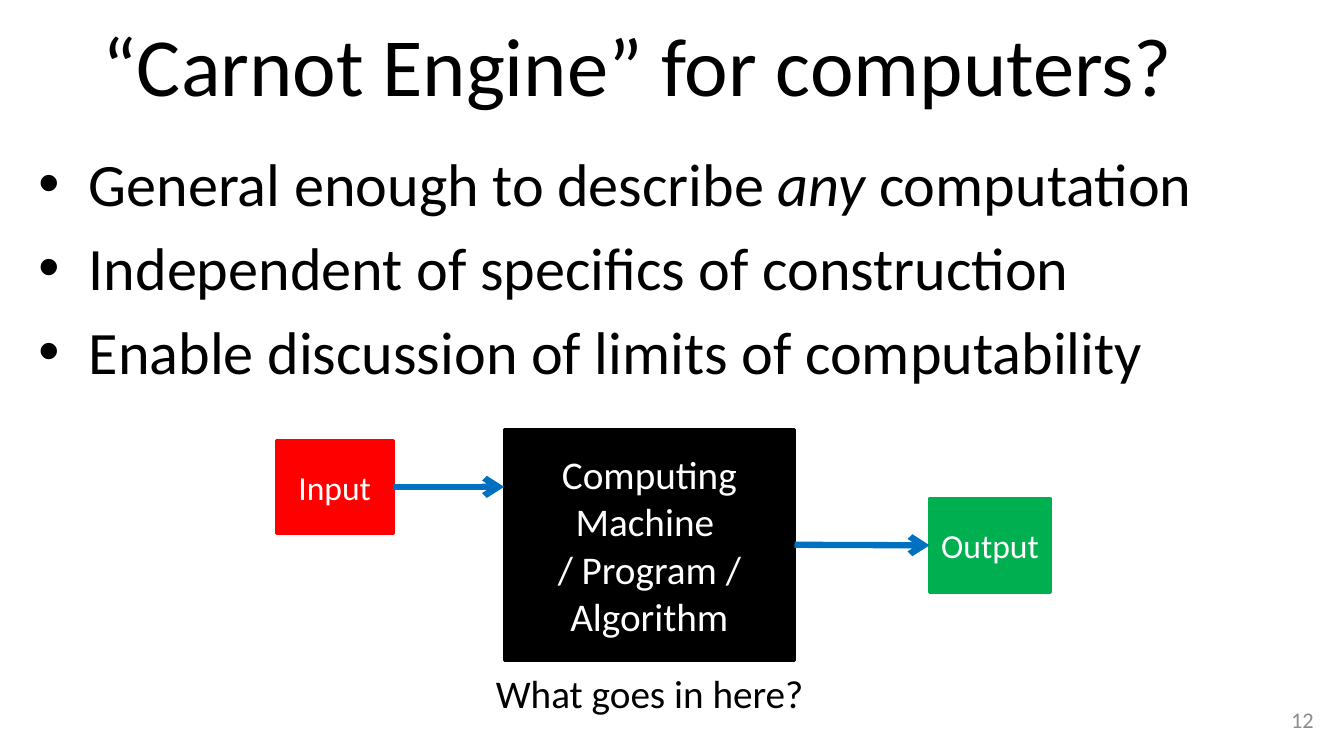
from collections import namedtuple
from dataclasses import dataclass

from lxml import etree
from pptx import Presentation
from pptx.dml.color import RGBColor
from pptx.enum.shapes import MSO_CONNECTOR, MSO_SHAPE
from pptx.enum.text import MSO_ANCHOR, MSO_AUTO_SIZE, PP_ALIGN
from pptx.oxml.ns import qn
from pptx.util import Pt

RECTANGLE = MSO_SHAPE.RECTANGLE
STRAIGHT = MSO_CONNECTOR.STRAIGHT
MIDDLE, TOP = MSO_ANCHOR.MIDDLE, MSO_ANCHOR.TOP
LEFT, CENTER, RIGHT = PP_ALIGN.LEFT, PP_ALIGN.CENTER, PP_ALIGN.RIGHT
FIT_SHAPE, NO_FIT = MSO_AUTO_SIZE.SHAPE_TO_FIT_TEXT, MSO_AUTO_SIZE.NONE
LEFT_SIDE, RIGHT_SIDE = 1, 3
EMU_PER_PX = 9144

Box = namedtuple("Box", "left top width height")


@dataclass(frozen=True)
class Theme:
    font: str = "Calibri"
    ink: str = "000000"
    paper: str = "FFFFFF"
    muted: str = "8C8C8C"
    input: str = "FF0000"
    output: str = "00B050"
    arrow: str = "0070C0"
    title_size: int = 59
    body_size: int = 43
    machine_size: int = 28
    data_size: int = 24
    number_size: int = 16
    outline: float = 2
    arrow_width: float = 4.5


THEME = Theme()


def px(length):
    return length * EMU_PER_PX


def place(shape, box):
    shape.left, shape.top, shape.width, shape.height = map(px, box)


def inside(box, left, top, width, height):
    return Box(box.left + left, box.top + top, width, height)


def format_text(frame, size, color, align, anchor, margins=(10, 5), fit=NO_FIT):
    frame.word_wrap = True
    frame.auto_size = fit
    frame.vertical_anchor = anchor
    frame.margin_left = frame.margin_right = px(margins[0])
    frame.margin_top = frame.margin_bottom = px(margins[1])
    for paragraph in frame.paragraphs:
        paragraph.alignment = align
        for run in paragraph.runs:
            run.font.name = THEME.font
            run.font.size = Pt(size)
            run.font.color.rgb = RGBColor.from_string(color)


def fill_title(slide, box, text):
    title = slide.shapes.title
    place(title, box)
    title.text_frame.text = text
    format_text(title.text_frame, THEME.title_size, THEME.ink, CENTER, MIDDLE, (13, 7))


def fill_goals(slide, box, goals):
    body = slide.placeholders[1]
    place(body, box)
    frame = body.text_frame
    for index, goal in enumerate(goals):
        paragraph = frame.paragraphs[0] if index == 0 else frame.add_paragraph()
        for position, part in enumerate(goal.split("*")):
            run = paragraph.add_run()
            run.text = part
            run.font.italic = position % 2 == 1
        properties = paragraph._p.get_or_add_pPr()
        properties.set("marL", str(px(50)))
        properties.set("indent", str(px(-50)))
    format_text(frame, THEME.body_size, THEME.ink, LEFT, TOP, (13, 7))


def add_block(shapes, box, text, color, size):
    block = shapes.add_shape(RECTANGLE, *map(px, box))
    block.shadow.inherit = False
    block.fill.solid()
    block.fill.fore_color.rgb = RGBColor.from_string(color)
    block.line.color.rgb = RGBColor.from_string(color)
    block.line.width = Pt(THEME.outline)
    block.text_frame.text = text
    format_text(block.text_frame, size, THEME.paper, CENTER, MIDDLE)
    return block


def add_arrow(shapes, source, target):
    y = source.top + source.height // 2
    arrow = shapes.add_connector(STRAIGHT, source.left + source.width, y, target.left, y)
    arrow.line.color.rgb = RGBColor.from_string(THEME.arrow)
    arrow.line.width = Pt(THEME.arrow_width)
    etree.SubElement(arrow.line._get_or_add_ln(), qn("a:tailEnd"), type="arrow")
    etree.SubElement(arrow._element.spPr, qn("a:effectLst"))
    arrow.begin_connect(source, RIGHT_SIDE)
    return arrow


def draw_machine(slide, box):
    shapes = slide.shapes.add_group_shape().shapes
    machine = add_block(shapes, inside(box, 226, 0, 288, 229),
                        "Computing Machine \n/ Program / Algorithm",
                        THEME.ink, THEME.machine_size)
    source = add_block(shapes, inside(box, 0, 11, 116, 92),
                       "Input", THEME.input, THEME.data_size)
    result = add_block(shapes, inside(box, 648, 68, 120, 94),
                       "Output", THEME.output, THEME.data_size)
    add_arrow(shapes, source, machine)
    add_arrow(shapes, machine, result).end_connect(result, LEFT_SIDE)


def add_label(slide, box, text, size, color, align, anchor, margins=(10, 5), fit=NO_FIT):
    label = slide.shapes.add_textbox(*map(px, box))
    label.text_frame.text = text
    format_text(label.text_frame, size, color, align, anchor, margins, fit)


def build_slide(deck):
    slide = deck.slides.add_slide(deck.slide_layouts[1])
    fill_title(slide, Box(50, 0, 1166, 125), "“Carnot Engine” for computers?")
    fill_goals(slide, Box(25, 138, 1241, 495), [
        "General enough to describe *any* computation",
        "Independent of specifics of construction",
        "Enable discussion of limits of computability",
    ])
    add_label(slide, Box(1083, 694, 233, 40), "12",
              THEME.number_size, THEME.muted, RIGHT, MIDDLE, (13, 7))
    draw_machine(slide, Box(274, 426, 768, 229))
    add_label(slide, Box(482, 659, 338, 57), "What goes in here?",
              THEME.machine_size, THEME.ink, LEFT, TOP, fit=FIT_SHAPE)


def main():
    deck = Presentation()
    deck.slide_width, deck.slide_height = px(1333), px(750)
    build_slide(deck)
    deck.save("out.pptx")


if __name__ == "__main__":
    main()
